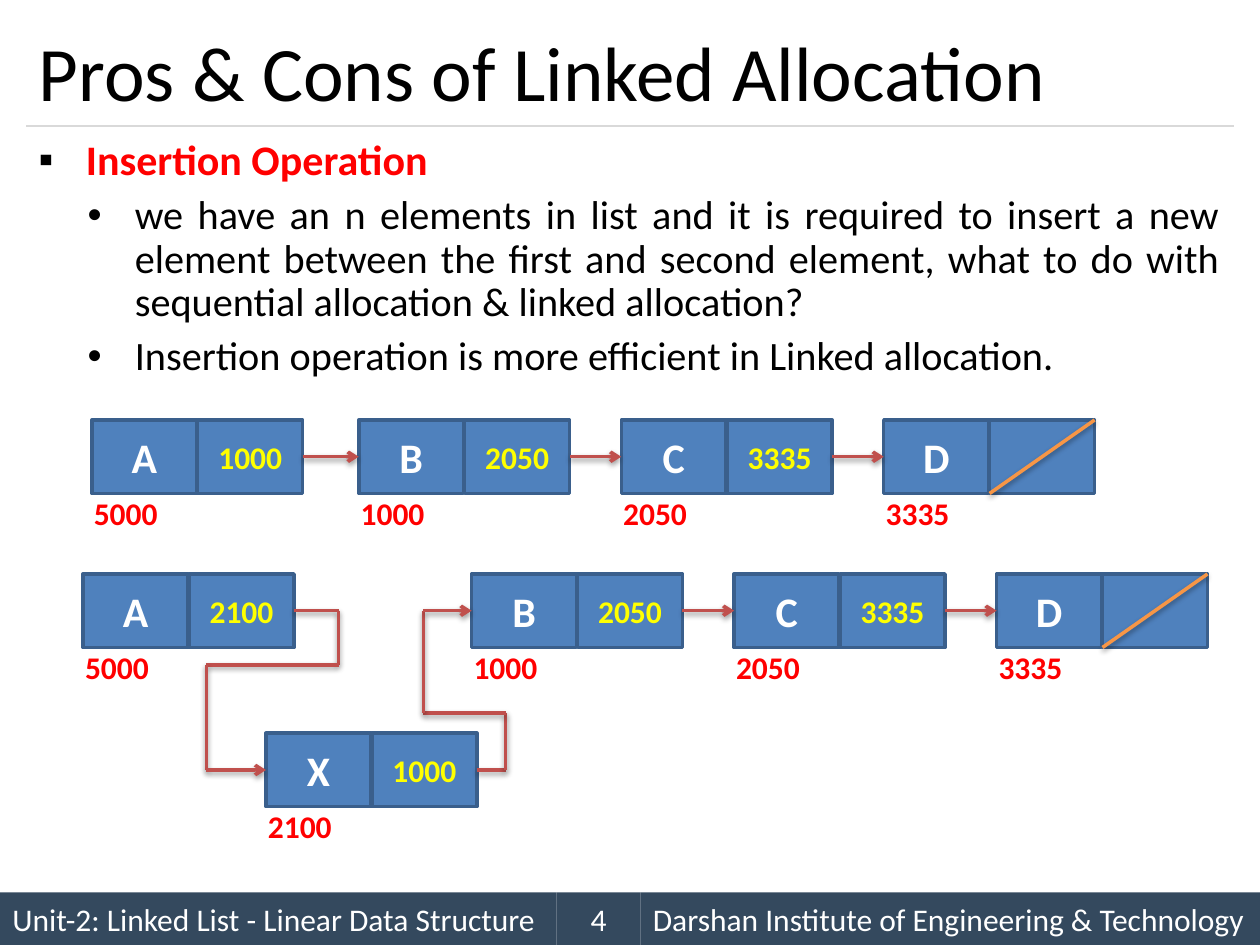
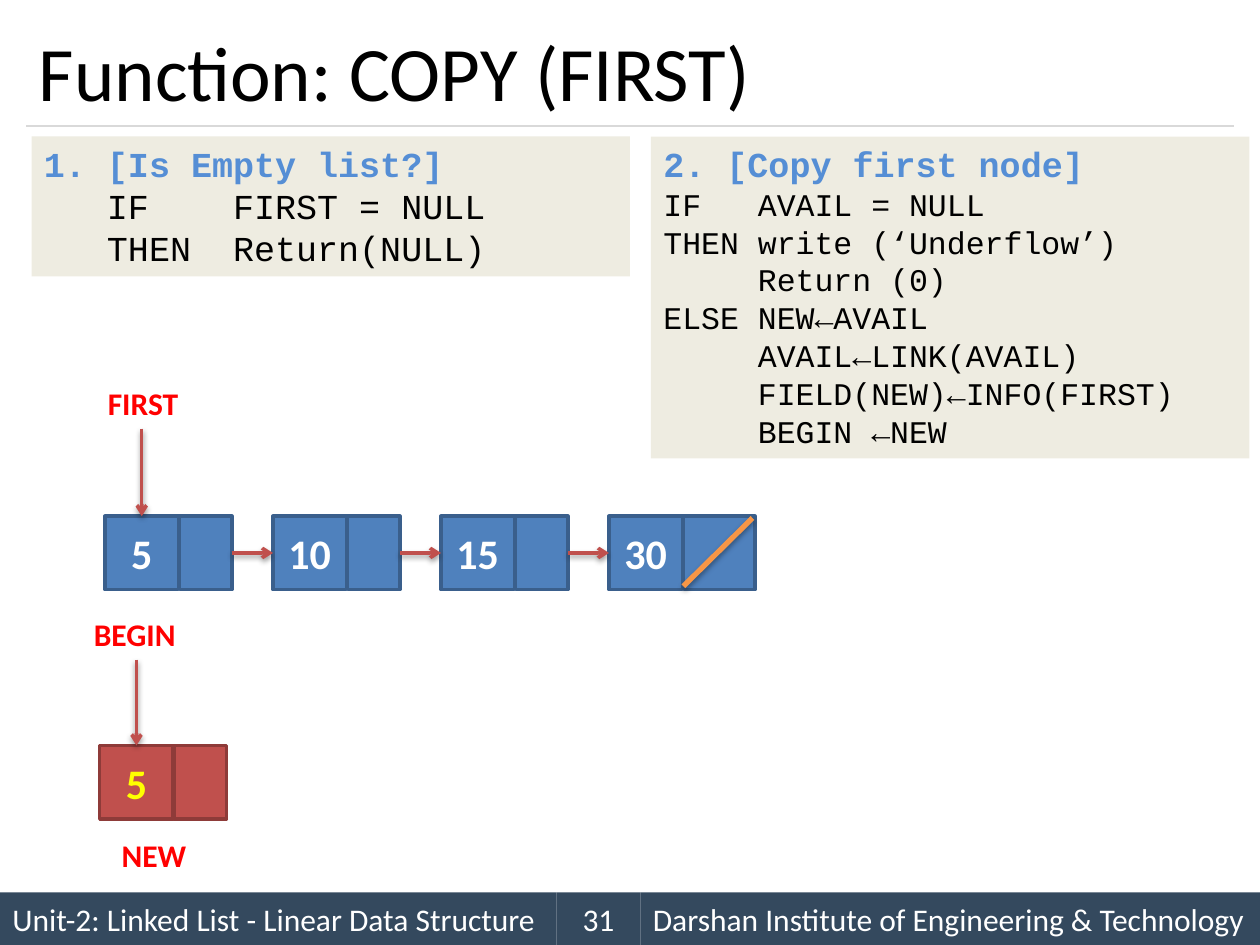
"""Build two slides on linked lists: insertion by links, and copying a list."""
from pptx import Presentation
from pptx.dml.color import RGBColor
from pptx.enum.shapes import MSO_CONNECTOR as Conn, MSO_SHAPE as Kind
from pptx.enum.text import MSO_ANCHOR as Anchor, MSO_AUTO_SIZE as Auto, PP_ALIGN as Align
from pptx.oxml import parse_xml
from pptx.oxml.ns import nsdecls, qn
from pptx.util import Pt

rgb = RGBColor.from_string
RED, YELLOW, WHITE, BLACK = "FF0000", "FFFF00", "FFFFFF", "000000"
BLUE, NAVY = "4F81BD", "3A5F8C"
ROSE, WINE = "C0504D", "8E3B39"
ORANGE, SLATE, SAND, GREY = "F79646", "34495E", "EEECE1", "D9D9D9"

HEAD = (BLACK, dict(name="Calibri", size=Pt(44), bold=False))
FOOT = (WHITE, dict(name="Calibri", size=Pt(18), bold=False))
TOPIC = (RED, dict(name="Calibri", size=Pt(24), bold=True))
POINT = (BLACK, dict(name="Calibri", size=Pt(23), bold=False))
DATA = (WHITE, dict(name="Calibri", size=Pt(24), bold=True))
FRESH = (YELLOW, dict(name="Calibri", size=Pt(24), bold=True))
LINK = (YELLOW, dict(name="Calibri", size=Pt(18), bold=True))
TAG = (RED, dict(name="Calibri", size=Pt(18), bold=True))
STEP = ("558ED5", dict(name="Courier New", size=Pt(20), bold=True))
CODE = (BLACK, dict(name="Courier New", size=Pt(20), bold=False))
SMALL = (BLACK, dict(name="Courier New", size=Pt(18), bold=False))


def box(slide, at, rows, fill=None, edge=None, align=Align.LEFT, anchor=Anchor.TOP, wrap=True):
    """Add a rectangle, or a text box if it has no fill, with styled rows."""
    at = [Pt(n) for n in at]
    if fill:
        shape = slide.shapes.add_shape(Kind.RECTANGLE, *at)
        shape.shadow.inherit = False
        shape.fill.solid()
        shape.fill.fore_color.rgb = rgb(fill)
    else:
        shape = slide.shapes.add_textbox(*at)
    if edge:
        shape.line.color.rgb = rgb(edge)
        shape.line.width = Pt(2)
    else:
        shape.line.fill.background()
    frame = shape.text_frame
    frame.word_wrap = wrap
    frame.vertical_anchor = anchor
    for i, (text, (ink, look)) in enumerate(rows):
        para = frame.add_paragraph() if i else frame.paragraphs[0]
        para.alignment = align
        run = para.add_run()
        run.text = text
        run.font.color.rgb = rgb(ink)
        for key, val in look.items():
            setattr(run.font, key, val)
    return shape


def wire(slide, start, end, ink=ROSE, width=2, tip=False, shade=True, tail=None, head=None):
    """Add a straight line; tail and head are (shape, site) pairs to join."""
    line = slide.shapes.add_connector(Conn.STRAIGHT, *[Pt(n) for n in (*start, *end)])
    line.line.color.rgb = rgb(ink)
    line.line.width = Pt(width)
    props = line.element.spPr
    if tip:
        props.find(qn("a:ln")).append(parse_xml(f'<a:tailEnd {nsdecls("a")} type="arrow"/>'))
    glow = ('<a:outerShdw blurRad="40000" dist="20000" dir="5400000" rotWithShape="0">'
            '<a:srgbClr val="000000"><a:alpha val="38000"/></a:srgbClr></a:outerShdw>')
    props.append(parse_xml(f'<a:effectLst {nsdecls("a")}>{glow if shade else ""}</a:effectLst>'))
    if tail:
        line.begin_connect(*tail)
    if head:
        line.end_connect(*head)


deck = Presentation()
deck.slide_width, deck.slide_height = Pt(720), Pt(540)

pages = []
for name, number in (("Pros & Cons of Linked Allocation", "4"), ("Function: COPY (FIRST)", "31")):
    page = deck.slides.add_slide(deck.slide_layouts[5])
    pages.append(page)
    title = page.shapes.title
    for key, val in dict(left=15, top=9, width=690, height=63).items():
        setattr(title, key, Pt(val))
    frame = title.text_frame
    frame.text = name
    frame.auto_size = Auto.NONE
    frame.vertical_anchor = Anchor.MIDDLE
    frame.paragraphs[0].alignment = Align.LEFT
    font = frame.paragraphs[0].runs[0].font
    font.color.rgb = rgb(HEAD[0])
    for key, val in HEAD[1].items():
        setattr(font, key, val)
    wire(page, (15, 72), (705, 72), GREY, 0.75, shade=False)
    for left, right, text, align in (
        (0, 318, "Unit-2: Linked List - Linear Data Structure", Align.LEFT),
        (366, 720, "Darshan Institute of Engineering & Technology", Align.LEFT),
        (318, 366, number, Align.CENTER),
    ):
        box(page, (left, 510, right - left, 30), [(text, FOOT)], SLATE,
            align=align, anchor=Anchor.MIDDLE)
pros, copy = pages
mid = dict(align=Align.CENTER, anchor=Anchor.MIDDLE)

body = box(pros, (15, 76, 690, 164), [
    ("Insertion Operation", TOPIC),
    ("we have an n elements in list and it is required to insert a new element between "
     "the first and second element, what to do with sequential allocation & linked "
     "allocation?", POINT),
    ("Insertion operation is more efficient in Linked allocation.", POINT),
], align=Align.JUSTIFY)
for i, para in enumerate(body.text_frame.paragraphs):
    props = para._p.get_or_add_pPr()
    props.set("marL", str(Pt(55 if i else 27)))
    props.set("indent", str(Pt(-27)))
    for part in ('buClr {}><a:srgbClr val="000000"/></a:buClr>',
                 'buFont {} typeface="Arial"/>',
                 'buChar {} char="' + ("•" if i else "▪") + '"/>'):
        props.append(parse_xml("<a:" + part.format(nsdecls("a"))))
    para.line_spacing = 0.9
    if i:
        para.space_before = Pt(6)

nodes = []
for x, y, letter, link, place in (
    (52.5, 240, "A", "1000", "5000"),
    (205, 240, "B", "2050", "1000"),
    (355, 240, "C", "3335", "2050"),
    (505, 240, "D", "", "3335"),
    (47.5, 328, "A", "2100", "5000"),
    (269.5, 328, "B", "2050", "1000"),
    (419.5, 328, "C", "3335", "2050"),
    (569.5, 328, "D", "", "3335"),
    (152, 419, "X", "1000", "2100"),
):
    data = box(pros, (x, y, 60, 42), [(letter, DATA)], BLUE, NAVY, **mid)
    rows = [(link, LINK)] if link else []
    next_ = box(pros, (x + 60.5, y, 60, 42), rows, BLUE, NAVY, **mid)
    box(pros, (x - 6, y + 38.5, 51, 29), [(place, TAG)], wrap=False)
    if not link:
        wire(pros, (x + 120.5, y), (x + 60.5, y + 42), ORANGE)
    nodes.append((data, next_))

for a, b in ((0, 1), (1, 2), (2, 3), (5, 6), (6, 7)):
    wire(pros, (0, 0), (0, 0), tip=True, tail=(nodes[a][1], 3), head=(nodes[b][0], 1))

for a, b, route in (
    (4, 8, [(168, 349), (193.5, 349), (193.5, 380), (118, 380), (118, 440), (152, 440)]),
    (8, 5, [(272.5, 440), (289, 440), (289, 407.5), (242, 407.5), (242, 349), (269.5, 349)]),
):
    last = len(route) - 2
    for i, (start, end) in enumerate(zip(route, route[1:])):
        wire(pros, start, end, tip=i == last,
             tail=(nodes[a][1], 3) if i == 0 else None,
             head=(nodes[b][0], 1) if i == last else None)

box(copy, (18, 78, 342, 80), [
    ("1. [Is Empty list?]", STEP),
    ("   IF    FIRST = NULL", CODE),
    ("   THEN  Return(NULL)", CODE),
], SAND)
steps = """IF   AVAIL = NULL
THEN write (‘Underflow’)
     Return (0)
ELSE NEW←AVAIL
     AVAIL←LINK(AVAIL)
     FIELD(NEW)←INFO(FIRST)
     BEGIN ←NEW"""
box(copy, (372, 78, 342, 184),
    [("2. [Copy first node]", STEP)] + [(row, SMALL) for row in steps.split("\n")], SAND)

cells = []
for x, y, value, wide, fill, edge, look in (
    (60, 295, "5", 30, BLUE, NAVY, DATA),
    (156, 295, "10", 30, BLUE, NAVY, DATA),
    (252, 295, "15", 30, BLUE, NAVY, DATA),
    (348, 295, "30", 41, BLUE, NAVY, DATA),
    (57, 426, "5", 30, ROSE, WINE, FRESH),
):
    data = box(copy, (x, y, 42, 42), [(value, look)], fill, edge, **mid)
    cells.append((data, box(copy, (x + 42.5, y, wide, 42), [], fill, edge)))

for (_, link), (data, _) in zip(cells[:3], cells[1:4]):
    wire(copy, (0, 0), (0, 0), tip=True, tail=(link, 3), head=(data, 1))
wire(copy, (390.5, 335), (430, 296), ORANGE, 3)

for text, x, y, wide in (("FIRST", 54, 216, 55.5), ("BEGIN", 46, 348, 62), ("NEW", 62, 474, 52)):
    box(copy, (x, y, wide, 29), [(text, TAG)], align=Align.CENTER, wrap=False)
for x, y, data in ((81, 245, cells[0][0]), (78, 377, cells[4][0])):
    wire(copy, (x, y), (x, y + 50), tip=True, head=(data, 0))

deck.save("out.pptx")
